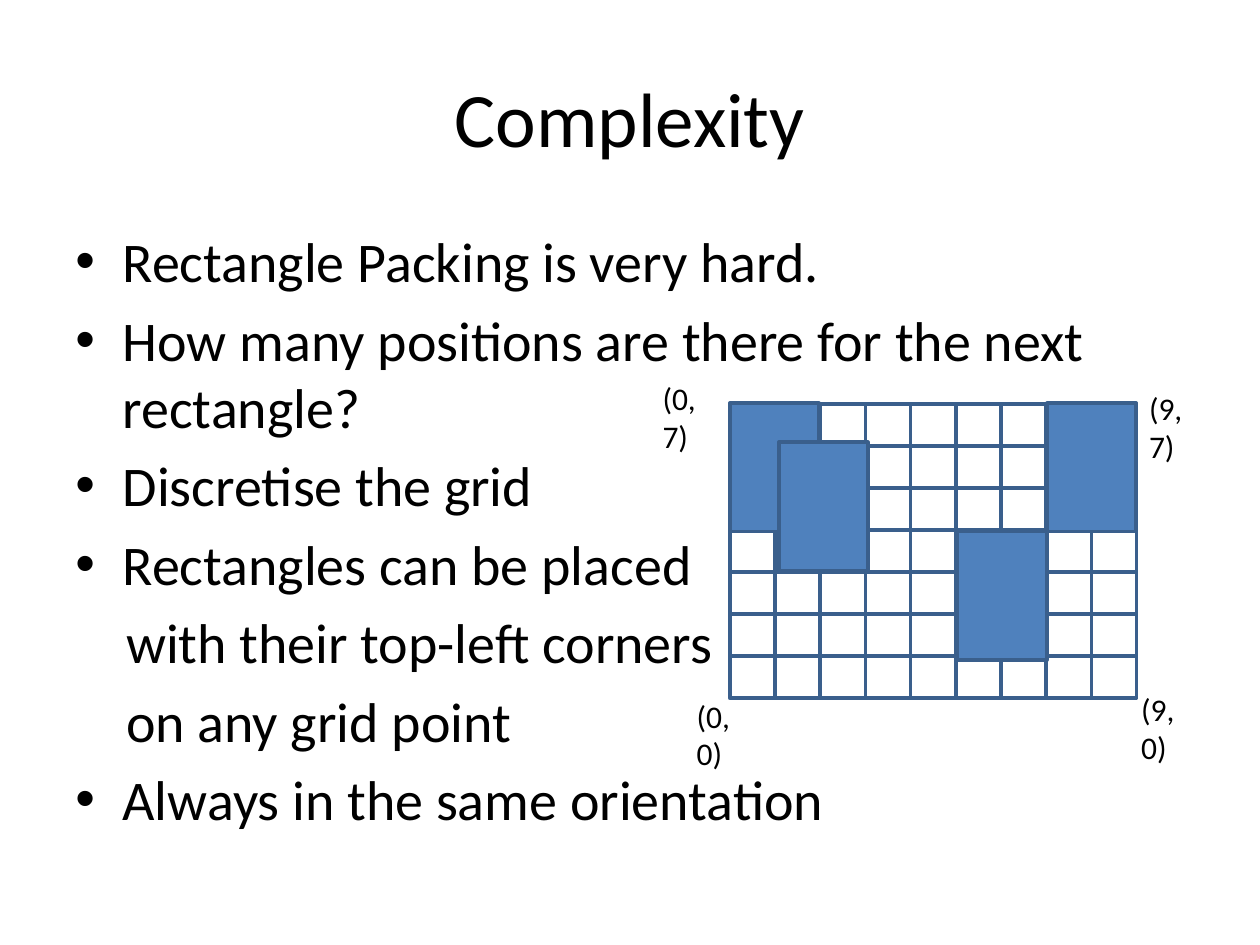
from dataclasses import dataclass
from itertools import product
from typing import Any

from lxml import etree
from pptx import Presentation
from pptx.dml.color import RGBColor
from pptx.enum import shapes, text
from pptx.oxml import ns
from pptx import util as u


@dataclass(frozen=True)
class Theme:
    font: str = "Calibri"
    ink: str = "000000"
    fill: str = "4F81BD"
    edge: str = "3A5F8C"
    line: float = 2
    title: float = 44
    body: float = 32
    label: float = 18
    gap: float = 6.4


@dataclass(frozen=True)
class Box:
    left: float
    top: float
    width: float
    height: float

    def place(self) -> tuple[u.Length, ...]:
        return tuple(u.Pt(n) for n in (self.left, self.top, self.width, self.height))


@dataclass(frozen=True)
class Item:
    words: str
    dot: bool = True


@dataclass(frozen=True)
class Label:
    words: str
    left: float
    top: float


THEME = Theme()
COLS, ROWS = 9, 7
GRID = Box(417, 231, 25.83, 24)
HIDDEN = {(1, 2), (2, 2)}
ITEMS = [
    Item("Rectangle Packing is very hard."),
    Item("How many positions are there for the next rectangle?"),
    Item("Discretise the grid"),
    Item("Rectangles can be placed"),
    Item("with their top-left corners", dot=False),
    Item("on any grid point", dot=False),
    Item("Always in the same orientation"),
]
LABELS = [
    Label("(0,0)", 391, 394.5),
    Label("(0,7)", 371.5, 213),
    Label("(9,0)", 645, 391),
    Label("(9,7)", 649.5, 219),
]
BLOCKS = [(417, 230.4), (445, 252.7), (547.2, 303.8), (598.3, 230.4)]


def draw_rect(host: Any, box: Box, fill: str | None = None) -> None:
    rect = host.add_shape(shapes.MSO_SHAPE.RECTANGLE, *box.place())
    rect.shadow.inherit = False
    if fill:
        rect.fill.solid()
        rect.fill.fore_color.rgb = RGBColor.from_string(fill)
    else:
        rect.fill.background()
    rect.line.color.rgb = RGBColor.from_string(THEME.edge)
    rect.line.width = u.Pt(THEME.line)


def draw_text(host: Any, box: Box, lines: list[str], size: float) -> Any:
    frame = host.add_textbox(*box.place()).text_frame
    frame.word_wrap = True
    frame.text = "\n".join(lines)
    for para in frame.paragraphs:
        for run in para.runs:
            run.font.name = THEME.font
            run.font.size = u.Pt(size)
            run.font.color.rgb = RGBColor.from_string(THEME.ink)
    return frame


def set_indent(para: Any, dot: bool) -> None:
    para.space_before = u.Pt(THEME.gap)
    props = para._p.get_or_add_pPr()
    props.set("marL", str(u.Pt(27 if dot else 29)))
    props.set("indent", str(u.Pt(-27 if dot else 0)))
    if dot:
        etree.SubElement(props, ns.qn("a:buFont")).set("typeface", "Arial")
        etree.SubElement(props, ns.qn("a:buChar")).set("char", "•")


def draw_title(host: Any) -> None:
    frame = draw_text(host, Box(36, 21.6, 648, 90), ["Complexity"], THEME.title)
    frame.vertical_anchor = text.MSO_ANCHOR.MIDDLE
    frame.paragraphs[0].alignment = text.PP_ALIGN.CENTER


def draw_body(host: Any) -> None:
    lines = [item.words for item in ITEMS]
    frame = draw_text(host, Box(36, 126, 648, 356.4), lines, THEME.body)
    for para, item in zip(frame.paragraphs, ITEMS):
        set_indent(para, item.dot)


def draw_grid(host: Any) -> None:
    group = host.add_group_shape().shapes
    for row, col in product(range(ROWS), range(COLS)):
        if (row, col) not in HIDDEN:
            left = GRID.left + col * GRID.width
            top = GRID.top + row * GRID.height
            draw_rect(group, Box(left, top, GRID.width, GRID.height))
    for label in LABELS:
        box = Box(label.left, label.top, 36.7, 20)
        draw_text(group, box, [label.words], THEME.label)


def main() -> None:
    deck = Presentation()
    deck.slide_width, deck.slide_height = u.Pt(720), u.Pt(540)
    host = deck.slides.add_slide(deck.slide_layouts[6]).shapes
    draw_title(host)
    draw_body(host)
    draw_grid(host)
    for left, top in BLOCKS:
        draw_rect(host, Box(left, top, 51, 73.4), THEME.fill)
    deck.save("out.pptx")


if __name__ == "__main__":
    main()
